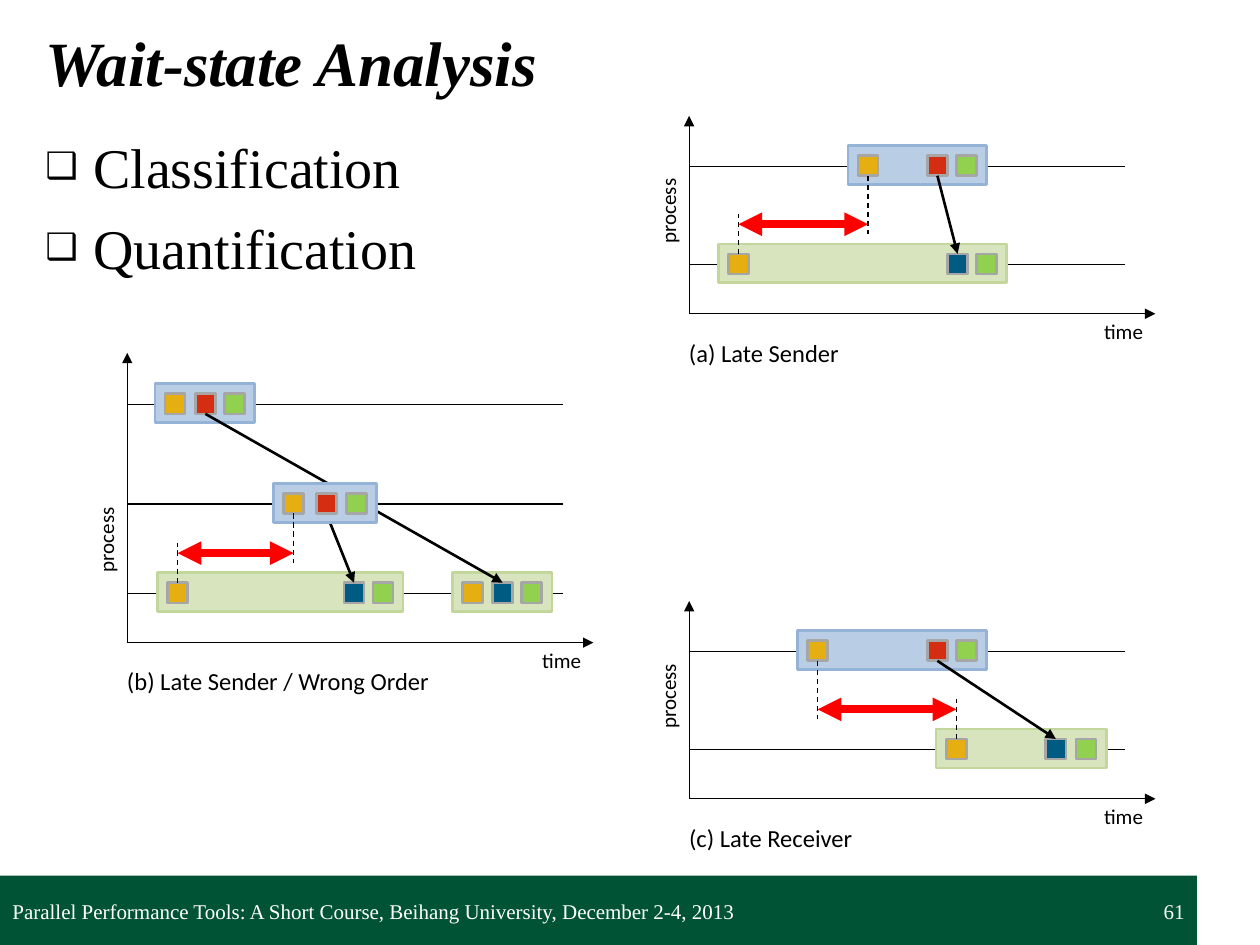
from dataclasses import dataclass

from lxml import etree
from pptx import Presentation
from pptx.dml.color import RGBColor
from pptx.enum.dml import MSO_LINE
from pptx.enum.shapes import MSO_CONNECTOR, MSO_SHAPE
from pptx.enum.text import MSO_ANCHOR, PP_ALIGN
from pptx.oxml.ns import qn
from pptx.util import Inches, Pt

STRAIGHT = MSO_CONNECTOR.STRAIGHT
RECTANGLE = MSO_SHAPE.RECTANGLE
DASH = MSO_LINE.DASH
MIDDLE = MSO_ANCHOR.MIDDLE
LEFT, RIGHT = PP_ALIGN.LEFT, PP_ALIGN.RIGHT
TOP_SIDE, BOTTOM_SIDE = 0, 2
COLUMNS, ROWS = 100, 75


@dataclass(frozen=True)
class Theme:
    serif: str = "Times New Roman"
    sans: str = "Calibri"
    ink: str = "000000"
    paper: str = "FFFFFF"
    band: str = "005334"
    wait: str = "FF0000"
    event_edge: str = "A6A6A6"
    enter: str = "E6AF11"
    send: str = "D42D12"
    receive: str = "005B82"
    leave: str = "92D050"
    sender: tuple = ("B9CDE5", "95B3D7")
    receiver: tuple = ("D7E4BD", "C3D69B")
    title_size: int = 36
    list_size: int = 32
    caption_size: int = 14
    small_size: int = 12
    thin: float = 0.75
    medium: float = 1.5
    thick: float = 4.5


class SlideBuilder:
    def __init__(self, deck, theme):
        self.theme = theme
        self.page = deck.slides.add_slide(deck.slide_layouts[1])
        self.column = deck.slide_width / COLUMNS
        self.row = deck.slide_height / ROWS

    def area(self, left, top, width, height):
        return (round(left * self.column), round(top * self.row),
                round(width * self.column), round(height * self.row))

    def place(self, shape, *cells):
        shape.left, shape.top, shape.width, shape.height = self.area(*cells)

    def style(self, para, font, size, color):
        para.font.name = font
        para.font.size = Pt(size)
        para.font.color.rgb = RGBColor.from_string(color)

    def title(self, text, *cells):
        holder = self.page.shapes.title
        self.place(holder, *cells)
        holder.text_frame.text = text
        holder.text_frame.vertical_anchor = MIDDLE
        para = holder.text_frame.paragraphs[0]
        para.alignment = LEFT
        self.style(para, self.theme.serif, self.theme.title_size, self.theme.ink)
        para.font.bold = para.font.italic = True

    def bullets(self, items, *cells):
        holder = self.page.placeholders[1]
        self.place(holder, *cells)
        holder.text_frame.text = "\n".join(items)
        for index, para in enumerate(holder.text_frame.paragraphs):
            props = para._p.get_or_add_pPr()
            props.set("marL", str(Inches(0.38)))
            props.set("indent", str(-Inches(0.38)))
            etree.SubElement(props, qn("a:buSzPct"), val="65000")
            etree.SubElement(props, qn("a:buChar"), char="❑")
            para.space_before = Pt(8 if index else 0)
            self.style(para, self.theme.serif, self.theme.list_size, self.theme.ink)

    def text(self, text, *cells, font, size, color, align=LEFT, wrap=False):
        box = self.page.shapes.add_textbox(*self.area(*cells))
        box.text_frame.word_wrap = wrap
        box.text_frame.text = text
        para = box.text_frame.paragraphs[0]
        para.alignment = align
        self.style(para, font, size, color)
        return box

    def label(self, text, *cells, size, align=LEFT):
        return self.text(text, *cells, font=self.theme.sans, size=size,
                         color=self.theme.ink, align=align)

    def footer(self, text, *cells, align=LEFT):
        box = self.text(text, *cells, font=self.theme.serif, size=self.theme.small_size,
                        color=self.theme.paper, align=align, wrap=True)
        frame = box.text_frame
        frame.vertical_anchor = MIDDLE
        frame.margin_left = frame.margin_right = Inches(0.1)
        frame.margin_top = frame.margin_bottom = Inches(0.1)

    def rect(self, *cells, fill, edge=None):
        shape = self.page.shapes.add_shape(RECTANGLE, *self.area(*cells))
        shape.shadow.inherit = False
        shape.fill.solid()
        shape.fill.fore_color.rgb = RGBColor.from_string(fill)
        if edge:
            shape.line.color.rgb = RGBColor.from_string(edge)
            shape.line.width = Pt(self.theme.medium)
        else:
            shape.line.fill.background()
        return shape

    def line(self, x1, y1, x2, y2, color=None, width=None, dash=None, ends=()):
        start, finish = self.area(x1, y1, 0, 0)[:2], self.area(x2, y2, 0, 0)[:2]
        connector = self.page.shapes.add_connector(STRAIGHT, *start, *finish)
        connector.line.color.rgb = RGBColor.from_string(color or self.theme.ink)
        connector.line.width = Pt(width or self.theme.thin)
        if dash:
            connector.line.dash_style = dash
        props = connector._element.spPr
        for end in ends:
            etree.SubElement(props.find(qn("a:ln")), qn(f"a:{end}"), type="triangle")
        etree.SubElement(props, qn("a:effectLst"))
        return connector

    def bar(self, lane, colors, events):
        first, last = events[0][0], events[-1][0]
        fill, edge = colors
        body = self.rect(first - 1.6, lane - 1.65, last - first + 3.2, 3.1,
                         fill=fill, edge=edge)
        squares = [self.rect(x - 0.8, lane - 0.85, 1.6, 1.6, fill=color,
                             edge=self.theme.event_edge) for x, color in events]
        return body, squares

    def message(self, sent, received, cover=None):
        arrow = self.line(0, 0, 0, 0, width=self.theme.medium, ends=["tailEnd"])
        arrow.begin_connect(sent, BOTTOM_SIDE)
        arrow.end_connect(received, TOP_SIDE)
        if cover is not None:
            cover._element.addprevious(arrow._element)

    def wait(self, upper, lower, y):
        centers = []
        for square, side, end in ((upper, BOTTOM_SIDE, y + 0.8), (lower, TOP_SIDE, y - 0.8)):
            x = (square.left + square.width / 2) / self.column
            self.line(x, end, x, end, dash=DASH).begin_connect(square, side)
            centers.append(x)
        self.line(min(centers), y, max(centers), y, color=self.theme.wait,
                  width=self.theme.thick, ends=["headEnd", "tailEnd"])

    def diagram(self, x, y, height, lanes, bars, messages, wait, caption, width, cover=None):
        for lane in lanes:
            self.line(x, y - lane, x + 34.6, y - lane)
        self.line(x, y, x, y - height, ends=["tailEnd"])
        self.line(x, y, x + 37, y, ends=["tailEnd"])
        drawn = [self.bar(y - lanes[lane], colors, [(x + at, color) for at, color in events])
                 for lane, colors, events in bars]
        for sent, received in messages:
            self.message(drawn[sent][1][1], drawn[received][1][1],
                         None if cover is None else drawn[cover][0])
        self.wait(drawn[wait[0]][1][0], drawn[wait[1]][1][0], y - 7.1)
        small = self.theme.small_size
        self.label("time", x + 31.8, y - 0.1, 5.2, 3, size=small, align=RIGHT)
        self.label("process", x - 5.6, y - 9.3, 7.8, 3, size=small, align=RIGHT).rotation = 270
        self.label(caption, x - 1, y + 1.4, width, 3.4, size=self.theme.caption_size)


def main():
    deck = Presentation()
    deck.slide_width, deck.slide_height = Inches(10), Inches(7.5)
    theme = Theme()
    slide = SlideBuilder(deck, theme)

    def sender(lane, *at):
        return lane, theme.sender, list(zip(at, (theme.enter, theme.send, theme.leave)))

    def receiver(*at):
        return 0, theme.receiver, list(zip(at, (theme.enter, theme.receive, theme.leave)))

    slide.rect(0, 69.5, 95, 5.5, fill=theme.band)
    slide.title("Wait-state Analysis", 2.6, 0.1, 97.4, 9.6)
    slide.bullets(["Classification", "Quantification"], 2.6, 10, 97.4, 59.7)
    slide.diagram(54.7, 24.9, 15.7, [3.9, 11.7],
                  [sender(1, 14.2, 19.7, 22), receiver(3.9, 21.3, 23.6)],
                  [(0, 1)], (0, 1), "(a) Late Sender", 15.6)
    slide.diagram(54.7, 63.4, 15.7, [3.9, 11.7],
                  [sender(1, 10.2, 19.7, 22), receiver(21.2, 29.1, 31.5)],
                  [(0, 1)], (0, 1), "(c) Late Receiver", 16.9)
    slide.diagram(10.1, 51, 23, [3.9, 11, 18.9],
                  [sender(2, 3.8, 6.2, 8.5), receiver(4, 18, 20.3),
                   receiver(27.4, 29.8, 32.1), sender(1, 13.2, 15.8, 18.2)],
                  [(0, 2), (3, 1)], (3, 1), "(b) Late Sender / Wrong Order", 28.4, cover=3)
    slide.footer("Parallel Performance Tools: A Short Course, Beihang University, "
                 "December 2-4, 2013", 0, 69.7, 65.8, 5.3)
    slide.footer("61", 71.7, 69.7, 23.3, 5.3, align=RIGHT)
    deck.save("out.pptx")


if __name__ == "__main__":
    main()
